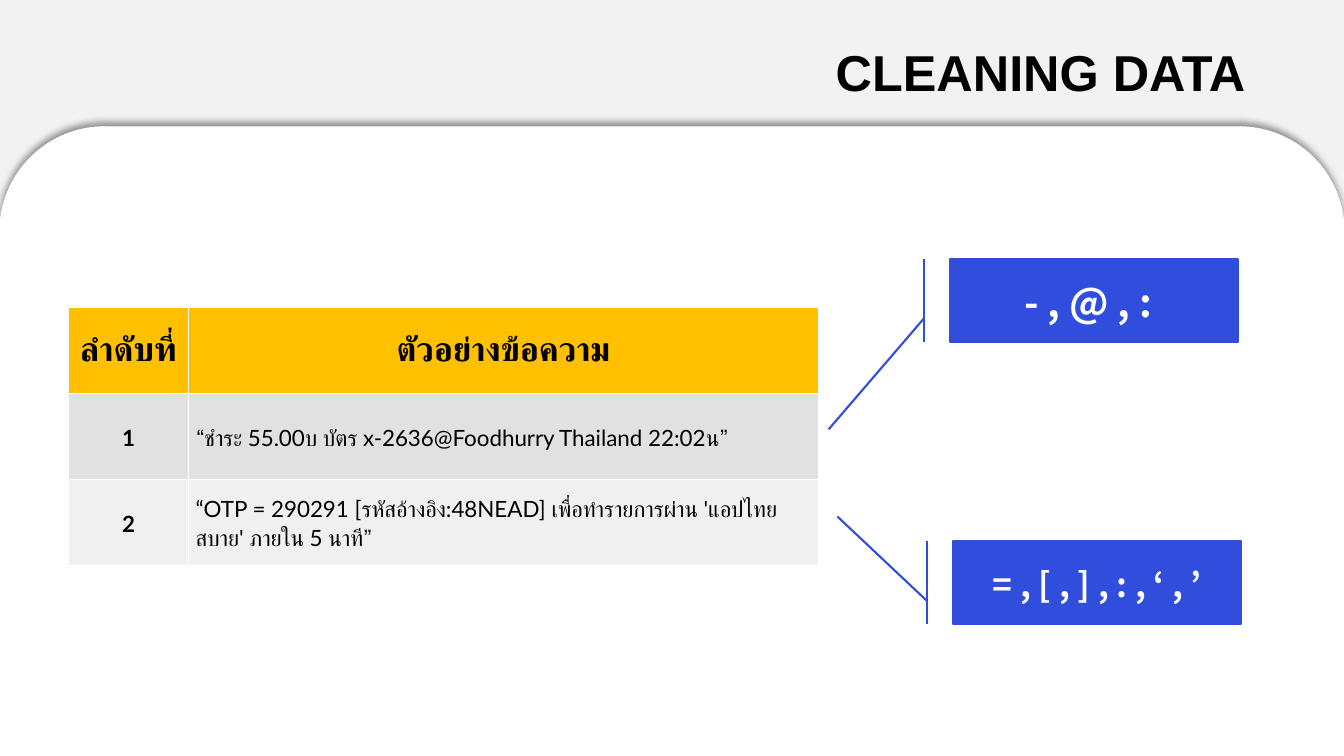
from lxml import etree
from pptx import Presentation
from pptx.dml.color import RGBColor
from pptx.enum.shapes import MSO_SHAPE as Shape
from pptx.enum.text import MSO_ANCHOR as Anchor, PP_ALIGN as Align
from pptx.oxml.ns import qn
from pptx.util import Inches, Pt

BLACK, WHITE, BLUE = "000000", "FFFFFF", "304EDB"
ROWS = [
    ("ลำดับที่", "ตัวอย่างข้อความ"),
    ("1", "“ชำระ 55.00บ บัตร x-2636@Foodhurry Thailand 22:02น”"),
    ("2", "“OTP = 290291 [รหัสอ้างอิง:48NEAD] เพื่อทำรายการผ่าน 'แอปไทยสบาย' ภายใน 5 นาที”"),
]
ROW_FILLS = ["FFC000", "E1E1E1", "F0F0F0"]


def color(value):
    return RGBColor.from_string(value)


def write(frame, text, size, font, ink=BLACK, bold=True, align=Align.LEFT, spacing=None, after=None):
    frame.word_wrap = True
    para = frame.paragraphs[0]
    para.alignment = align
    if spacing:
        para.line_spacing = spacing
    if after:
        para.space_after = Pt(after)
    span = para.add_run()
    span.text = text
    span.font.size = Pt(size)
    span.font.name = font
    span.font.bold = bold
    span.font.color.rgb = color(ink)


class SlideBuilder:
    title_font = "Arial"
    table_font = "Lato"
    symbol_font = "Noto Sans CJK JP"

    def __init__(self, slide):
        self.slide = slide
        slide.background.fill.solid()
        slide.background.fill.fore_color.rgb = color("F2F2F2")

    def shape(self, kind, place, fill, width, adjustments=()):
        shape = self.slide.shapes.add_shape(kind, *map(Inches, place))
        shape.shadow.inherit = False
        shape.fill.solid()
        shape.fill.fore_color.rgb = color(fill)
        shape.line.color.rgb = color(fill)
        shape.line.width = Pt(width)
        for index, value in enumerate(adjustments):
            shape.adjustments[index] = value
        return shape

    def panel(self, place):
        panel = self.shape(Shape.ROUND_2_SAME_RECTANGLE, place, WHITE, 1)
        effects = panel.element.spPr.find(qn("a:effectLst"))
        shadow = etree.SubElement(effects, qn("a:outerShdw"), blurRad=str(Pt(4)), dist=str(Pt(3)),
                                  dir="16200000", algn="b", rotWithShape="0")
        shade = etree.SubElement(shadow, qn("a:srgbClr"), val=BLACK)
        etree.SubElement(shade, qn("a:alpha"), val="40000")

    def callout(self, place, adjustments):
        self.shape(Shape.LINE_CALLOUT_1_BORDER_AND_ACCENT_BAR, place, BLUE, 1.5, adjustments)

    def text(self, place, text, size, font, **style):
        box = self.slide.shapes.add_textbox(*map(Inches, place))
        write(box.text_frame, text, size, font, **style)

    def table(self, place, widths, rows, fills):
        frame = self.slide.shapes.add_table(len(rows), len(widths), *map(Inches, place))
        table = frame.table
        for column, width in zip(table.columns, widths):
            column.width = Inches(width)
        for row, (texts, fill) in enumerate(zip(rows, fills)):
            for column, text in enumerate(texts):
                header, message = row == 0, column == 1
                cell = table.cell(row, column)
                cell.fill.solid()
                cell.fill.fore_color.rgb = color(fill)
                cell.vertical_anchor = Anchor.MIDDLE
                cell.margin_left = cell.margin_right = Inches(0.07)
                cell.margin_top = cell.margin_bottom = 0
                write(cell.text_frame, text, 24 if header else 16, self.table_font,
                      bold=header or not message,
                      align=Align.CENTER if header or not message else Align.LEFT,
                      spacing=1.07, after=8)


def main():
    deck = Presentation()
    deck.slide_width, deck.slide_height = Inches(13.33), Inches(7.5)
    page = SlideBuilder(deck.slides.add_slide(deck.slide_layouts[6]))
    page.panel((0, 1.26, 13.33, 6.24))
    page.table((0.68, 3.05, 7.44, 2.56), (1.19, 6.25), ROWS, ROW_FILLS)
    page.callout((9.42, 2.57, 2.86, 0.82), (0.72, -0.09, 2.06, -0.42))
    page.callout((9.45, 5.37, 2.86, 0.82), (0.72, -0.09, -0.3, -0.4))
    page.text((8.19, 0.36, 4.35, 0.71), "CLEANING DATA", 36, page.title_font)
    page.text((10.06, 2.71, 2.2, 0.57), "- , @ , :", 28, page.symbol_font, ink=WHITE)
    page.text((9.75, 5.52, 2.5, 0.5), "= , [ , ] , : , ‘ , ’", 24, page.symbol_font,
              ink=WHITE, spacing=1.07, after=8)
    deck.save("out.pptx")


if __name__ == "__main__":
    main()
